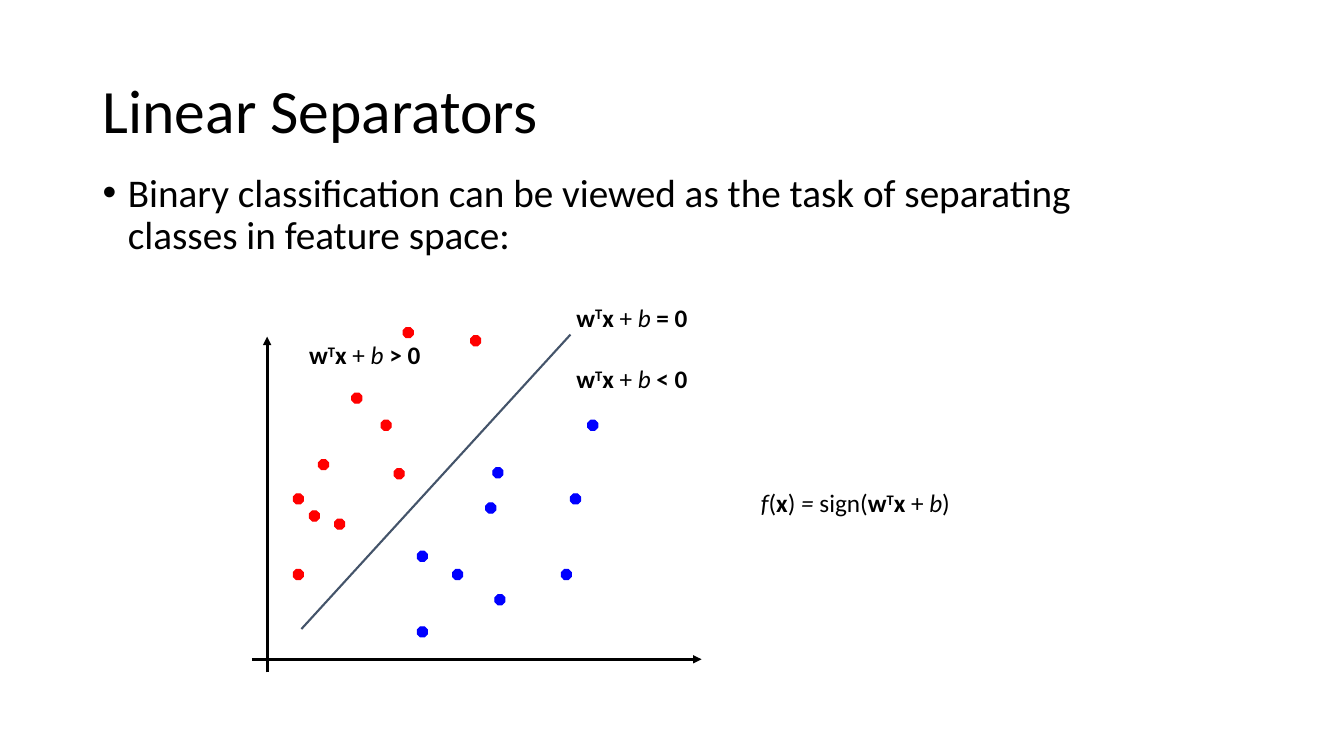
"""Build the Linear Separators slide."""
from typing import NamedTuple

from lxml import etree
from pptx import Presentation
from pptx import util as u
from pptx.dml.color import RGBColor
from pptx.enum import shapes, text
from pptx.oxml.ns import qn

COLORS = {"text": "000000", "positive": "FF0000", "negative": "0000FF", "separator": "44546A"}
FONT = "Calibri"
DOT = 7.2


class Run(NamedTuple):
    text: str
    style: str = ""


class Box(NamedTuple):
    x: float
    y: float
    w: float
    h: float
    size: float
    runs: list[Run]
    spacing: float = 1.0
    anchor: text.MSO_ANCHOR = text.MSO_ANCHOR.TOP
    bullet: bool = False


class Line(NamedTuple):
    x1: float
    y1: float
    x2: float
    y2: float
    color: str
    width: float
    arrow: bool = False


WTX_B = [Run("w", "b"), Run("T", "b^"), Run("x ", "b"), Run("+ "), Run("b", "i")]
SIGN = [Run("f", "i"), Run("("), Run("x", "b"), Run(")"), Run(" = ", "i"), Run("sign(")]

BOXES = [
    Box(66.24, 28.8, 828, 104.4, 44, [Run("Linear Separators")], 0.9, text.MSO_ANCHOR.MIDDLE),
    Box(66.24, 120.24, 747.36, 396, 28,
        [Run("Binary classification can be viewed as the task of separating "
             "classes in feature space:")], 0.9, bullet=True),
    *(Box(x, y, 210.2, 28.8, 18, [*WTX_B, Run(f" {sign} 0", "b")])
      for x, y, sign in [(404.6, 212.4, "="), (404.6, 256.3, "<"), (213.8, 239, ">")]),
    Box(536.4, 344.9, 231.1, 28.8, 18, [*SIGN, *WTX_B, Run(")")]),
]

LINES = [
    Line(190.8, 480.2, 190.8, 240.5, "text", 2, True),
    Line(180, 470.9, 501.1, 470.9, "text", 2, True),
    Line(215.3, 449.3, 407.5, 239, "separator", 1.5),
]

DOTS = {
    "positive": [(272.2, 300.2), (227.5, 328.3), (239, 370.8), (209.5, 406.8), (251.3, 280.8),
                 (209.5, 352.8), (221, 365), (281.5, 334.8), (288, 234), (336.2, 239.8)],
    "negative": [(352.1, 334.1), (323.3, 406.8), (401, 406.8), (298.1, 447.8), (347, 359.3),
                 (298.1, 393.8), (353.5, 424.8), (407.5, 352.8), (419.8, 300.2)],
}


def rgb(name: str) -> RGBColor:
    return RGBColor.from_string(COLORS[name])


def add_box(s, box: Box) -> None:
    tf = s.shapes.add_textbox(*map(u.Pt, box[:4])).text_frame
    tf.word_wrap = True
    tf.vertical_anchor = box.anchor
    p = tf.paragraphs[0]
    p.line_spacing = box.spacing
    if box.bullet:
        pPr = p._p.get_or_add_pPr()
        pPr.set("marL", str(u.Pt(18)))
        pPr.set("indent", str(-u.Pt(18)))
        etree.SubElement(pPr, qn("a:buFont")).set("typeface", "Arial")
        etree.SubElement(pPr, qn("a:buChar")).set("char", "•")
    for run in box.runs:
        r = p.add_run()
        r.text = run.text
        r.font.name = FONT
        r.font.size = u.Pt(box.size)
        r.font.bold = "b" in run.style
        r.font.italic = "i" in run.style
        r.font.color.rgb = rgb("text")
        if "^" in run.style:
            r._r.get_or_add_rPr().set("baseline", "30000")


def add_line(s, line: Line) -> None:
    sp = s.shapes.add_connector(shapes.MSO_CONNECTOR.STRAIGHT, *map(u.Pt, line[:4]))
    sp.line.color.rgb = rgb(line.color)
    sp.line.width = u.Pt(line.width)
    if line.arrow:
        etree.SubElement(sp.line._get_or_add_ln(), qn("a:tailEnd")).set("type", "triangle")
    etree.SubElement(sp._element.spPr, qn("a:effectLst"))


def add_dot(s, x: float, y: float, color: str) -> None:
    sp = s.shapes.add_shape(shapes.MSO_SHAPE.OCTAGON, *map(u.Pt, (x, y, DOT, DOT)))
    sp.shadow.inherit = False
    sp.fill.solid()
    sp.fill.fore_color.rgb = rgb(color)
    sp.line.color.rgb = rgb(color)
    sp.line.width = u.Pt(0.75)


def main() -> None:
    prs = Presentation()
    prs.slide_width, prs.slide_height = u.Pt(960), u.Pt(540)
    s = prs.slides.add_slide(prs.slide_layouts[6])
    for line in LINES:
        add_line(s, line)
    for color, places in DOTS.items():
        for x, y in places:
            add_dot(s, x, y, color)
    for box in BOXES:
        add_box(s, box)
    prs.save("out.pptx")


if __name__ == "__main__":
    main()
